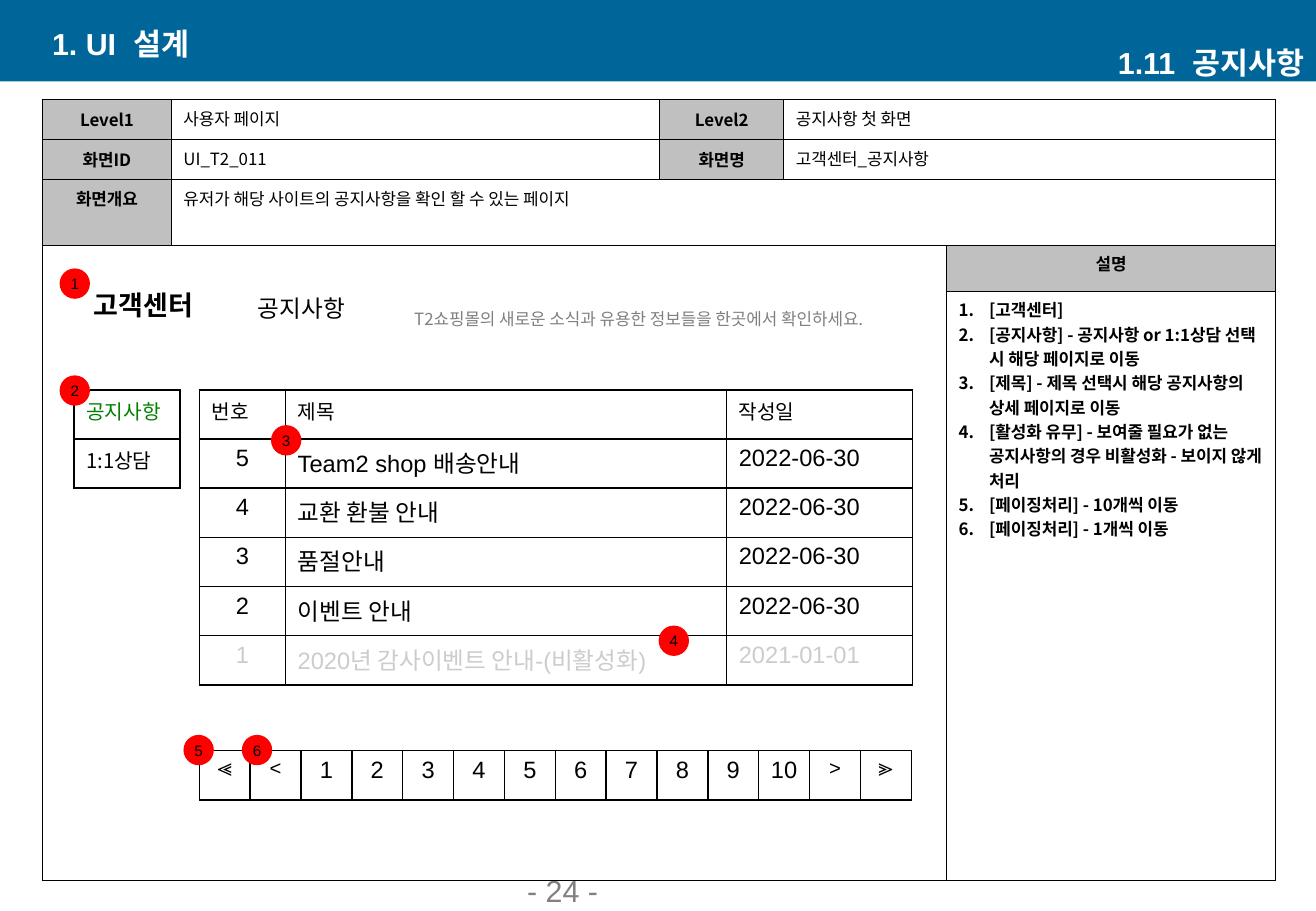
from lxml import etree
from pptx import Presentation
from pptx.dml.color import RGBColor
from pptx.enum import shapes, text
from pptx.oxml import ns
from pptx.util import Inches, Pt

COLORS = {"bar": "006699", "white": "FFFFFF", "black": "000000", "label": "C0C0C0",
          "grey": "808080", "active": "008000", "off": "CCCCCC", "marker": "FF0000"}
ARIAL, NOTO = "Arial", "Noto Sans CJK KR"
LEFT, CENTER, RIGHT = text.PP_ALIGN.LEFT, text.PP_ALIGN.CENTER, text.PP_ALIGN.RIGHT
TOP, MIDDLE, BOTTOM = (text.MSO_ANCHOR.TOP, text.MSO_ANCHOR.MIDDLE,
                       text.MSO_ANCHOR.BOTTOM)


def rgb(name):
    return RGBColor.from_string(COLORS[name])


def write(tf, content, size=10, font=NOTO, color="black", bold=False,
          align=LEFT, numbered=False):
    """Write one paragraph per line of content."""
    for i, line in enumerate(content.split("\n")):
        p = tf.add_paragraph() if i else tf.paragraphs[0]
        p.alignment = align
        if numbered:
            pPr = p._p.get_or_add_pPr()
            pPr.set("marL", str(Inches(0.25)))
            pPr.set("indent", str(-Inches(0.25)))
            etree.SubElement(pPr, ns.qn("a:buFont"), typeface="+mj-lt")
            etree.SubElement(pPr, ns.qn("a:buAutoNum"), type="arabicPeriod")
        r = p.add_run()
        r.text = line
        r.font.size, r.font.bold, r.font.name = Pt(size), bold, font
        r.font.color.rgb = rgb(color)
        latin = r._r.get_or_add_rPr().find(ns.qn("a:latin"))
        ea = etree.Element(ns.qn("a:ea"), typeface=NOTO)
        latin.addnext(ea)


class Wireframe:
    def __init__(self, prs):
        self.s = prs.slides.add_slide(prs.slide_layouts[6])

    def shape(self, kind, x, y, w, h, fill):
        sp = self.s.shapes.add_shape(kind, Inches(x), Inches(y), Inches(w), Inches(h))
        sp.shadow.inherit = False
        sp.fill.solid()
        sp.fill.fore_color.rgb = rgb(fill)
        sp.line.fill.background()
        return sp

    def label(self, content, x, y, w, h, anchor=TOP, **fmt):
        tf = self.s.shapes.add_textbox(
            Inches(x), Inches(y), Inches(w), Inches(h)).text_frame
        tf.word_wrap = True
        tf.vertical_anchor = anchor
        write(tf, content, **fmt)

    def marker(self, number, x, y):
        sp = self.shape(shapes.MSO_SHAPE.OVAL, x, y, 0.25, 0.25, "marker")
        tf = sp.text_frame
        tf.margin_left = tf.margin_right = tf.margin_top = tf.margin_bottom = 0
        tf.vertical_anchor = MIDDLE
        write(tf, str(number), size=9, font=ARIAL, align=CENTER)

    def table(self, x, y, widths, heights):
        tbl = self.s.shapes.add_table(
            len(heights), len(widths), Inches(x), Inches(y),
            Inches(sum(widths)), Inches(sum(heights))).table
        tbl.first_row = tbl.horz_banding = False
        for col, w in zip(tbl.columns, widths):
            col.width = Inches(w)
        for row, h in zip(tbl.rows, heights):
            row.height = Inches(h)
        for cell in tbl.iter_cells():
            self.border(cell)
            cell.fill.background()
        return tbl

    def border(self, cell):
        tcPr = cell._tc.get_or_add_tcPr()
        for side in ("lnL", "lnR", "lnT", "lnB"):
            ln = etree.SubElement(tcPr, ns.qn("a:" + side), w=str(Pt(1)))
            fill = etree.SubElement(ln, ns.qn("a:solidFill"))
            etree.SubElement(fill, ns.qn("a:srgbClr"), val=COLORS["black"])

    def cell(self, cell, content, fill=None, anchor=TOP, **fmt):
        cell.vertical_anchor = anchor
        if fill:
            cell.fill.solid()
            cell.fill.fore_color.rgb = rgb(fill)
        write(cell.text_frame, content, **fmt)


def main():
    prs = Presentation()
    prs.slide_width, prs.slide_height = Inches(10.83), Inches(7.5)
    page = Wireframe(prs)

    # Title bar and page number
    page.shape(shapes.MSO_SHAPE.RECTANGLE, 0, 0, 10.83, 0.67, "bar")
    title = dict(anchor=MIDDLE, size=18, font=ARIAL, color="white", bold=True)
    page.label("- 24 -", 4.24, 7.3, 2.26, 0.23, anchor=BOTTOM, size=18,
               font=ARIAL, color="grey")
    page.label("1. UI  설계", 0.33, 0.19, 4.38, 0.33, **title)
    page.label("1.11  공지사항", 6.45, 0.35, 4.38, 0.33, align=RIGHT, **title)

    # Screen specification frame
    frame = page.table(0.35, 0.82, [1.06, 4.02, 1.02, 1.34, 2.71],
                       [0.33, 0.33, 0.54, 0.38, 4.85])
    for first, last in [((0, 3), (0, 4)), ((1, 3), (1, 4)), ((2, 1), (2, 4)),
                        ((3, 0), (4, 3))]:
        frame.cell(*first).merge(frame.cell(*last))
    for row, col, name, anchor in [
            (0, 0, "Level1", MIDDLE), (0, 2, "Level2", MIDDLE),
            (1, 0, "화면ID", MIDDLE), (1, 2, "화면명", MIDDLE),
            (2, 0, "화면개요", TOP), (3, 4, "설명", TOP)]:
        page.cell(frame.cell(row, col), name, fill="label", anchor=anchor,
                  bold=True, align=CENTER)
    for row, col, value in [
            (0, 1, "사용자 페이지"), (0, 3, "공지사항 첫 화면"),
            (1, 1, "UI_T2_011"), (1, 3, "고객센터_공지사항"),
            (2, 1, "유저가 해당 사이트의 공지사항을 확인 할 수 있는 페이지")]:
        page.cell(frame.cell(row, col), value)
    page.cell(frame.cell(4, 4), "\n".join([
        "[고객센터]",
        "[공지사항] - 공지사항 or 1:1상담 선택 시 해당 페이지로 이동",
        "[제목] - 제목 선택시 해당 공지사항의 상세 페이지로 이동",
        "[활성화 유무] - 보여줄 필요가 없는 공지사항의 경우 비활성화 - 보이지 않게 처리",
        "[페이징처리] - 10개씩 이동",
        "[페이징처리] - 1개씩 이동"]), bold=True, numbered=True)

    # Screen headings
    page.label("공지사항", 1.87, 2.37, 1.22, 0.43, size=14, align=CENTER)
    page.label("고객센터", 0.57, 2.33, 1.22, 0.43, size=16, bold=True, align=CENTER)
    page.label("T2쇼핑몰의 새로운 소식과 유용한 정보들을 한곳에서 확인하세요.",
               3.01, 2.49, 4.49, 0.27, color="grey", align=CENTER)

    # Side menu
    row_h = 0.405
    menu = page.table(0.61, 3.21, [0.87], [row_h] * 2)
    page.cell(menu.cell(0, 0), "공지사항", size=12, color="active")
    page.cell(menu.cell(1, 0), "1:1상담", size=12)

    # Notice list
    notices = [("번호", "제목", "작성일"),
               ("5", "Team2 shop 배송안내", "2022-06-30"),
               ("4", "교환 환불 안내", "2022-06-30"),
               ("3", "품절안내", "2022-06-30"),
               ("2", "이벤트 안내", "2022-06-30"),
               ("1", "2020년 감사이벤트 안내-(비활성화)", "2021-01-01")]
    board = page.table(1.64, 3.21, [0.71, 3.63, 1.53], [row_h] * len(notices))
    for i, notice in enumerate(notices):
        for j, value in enumerate(notice):
            page.cell(board.cell(i, j), value, size=14 if i else 12, font=ARIAL,
                      color="off" if i == len(notices) - 1 else "black",
                      align=CENTER if i and j == 0 else LEFT)

    # Paging bar
    links = ["≪", "<", *map(str, range(1, 11)), ">", "≫"]
    paging = page.table(1.64, 6.18, [5.86 / len(links)] * len(links), [row_h])
    for j, link in enumerate(links):
        page.cell(paging.cell(0, j), link, size=14 if link.isdigit() else 12,
                  font=ARIAL, align=CENTER)

    # Numbered markers
    spots = [(0.49, 2.21), (0.49, 3.09), (2.23, 3.5), (5.42, 5.15),
             (1.51, 6.05), (1.99, 6.05)]
    for number, (x, y) in enumerate(spots, 1):
        page.marker(number, x, y)

    prs.save("out.pptx")


if __name__ == "__main__":
    main()
